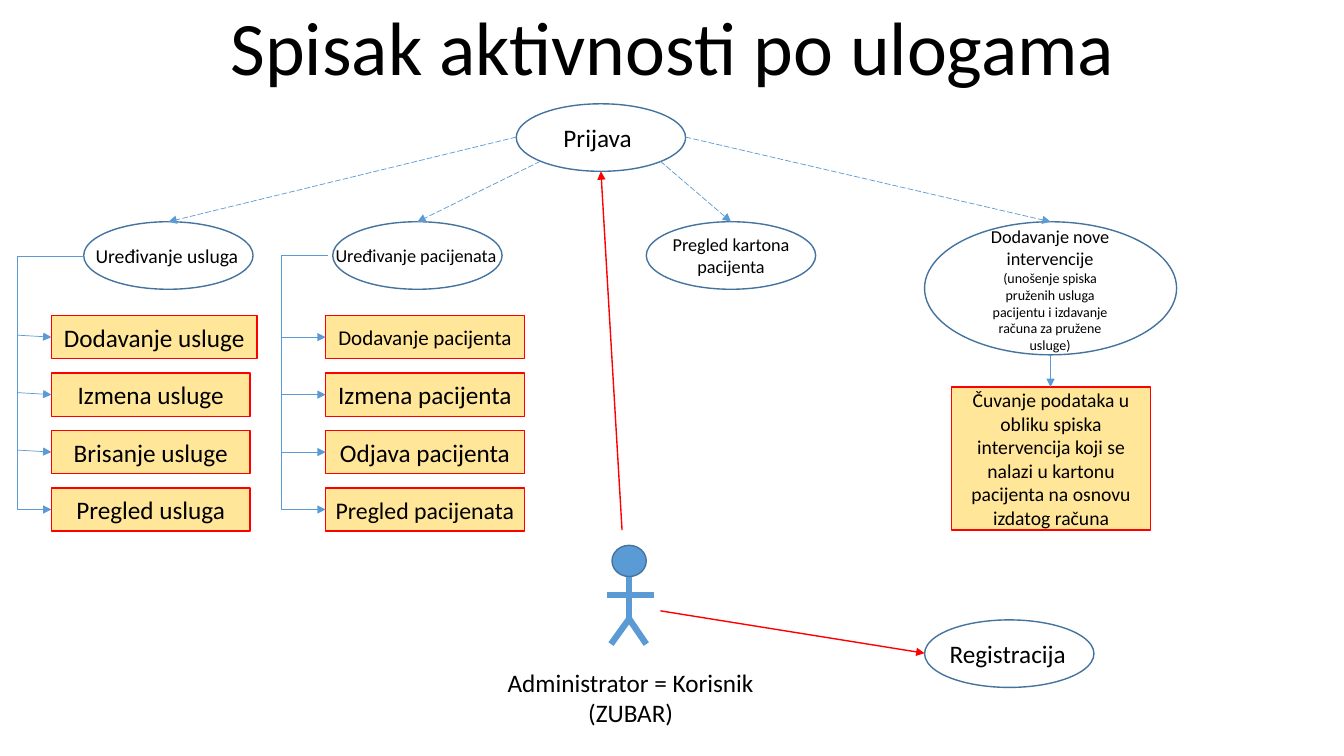
from lxml import etree
from pptx import Presentation
from pptx.dml.color import RGBColor
from pptx.enum import dml, shapes, text
from pptx.oxml import ns
from pptx.util import Inches, Pt

BLUE, OUTLINE, RED, YELLOW, BLACK = "5B9BD5", "43739E", "FF0000", "FFE699", "000000"
OVAL, RECT = shapes.MSO_SHAPE.OVAL, shapes.MSO_SHAPE.RECTANGLE
CENTER, LEFT = text.PP_ALIGN.CENTER, text.PP_ALIGN.LEFT


def color(value):
    return RGBColor.from_string(value)


class Diagram:
    """Holds the text style and the current slide."""

    def __init__(self, page, font="Calibri"):
        self.page = page
        self.font = font

    def fill_text(self, frame, paragraphs, size, align=CENTER):
        frame.text = "\n".join(paragraphs)
        for para in frame.paragraphs:
            para.alignment = align
            for span in para.runs:
                self.style(span, size)

    def style(self, span, size):
        span.font.name = self.font
        span.font.size = Pt(size)
        span.font.color.rgb = color(BLACK)

    def title(self, words, place, size):
        heading = self.page.shapes.title
        heading.left, heading.top, heading.width, heading.height = map(Inches, place)
        frame = heading.text_frame
        frame.auto_size = text.MSO_AUTO_SIZE.NONE
        frame.vertical_anchor = text.MSO_ANCHOR.BOTTOM
        self.fill_text(frame, [words], size)
        frame.paragraphs[0].line_spacing = 0.9

    def shape(self, kind, place, line, fill=None):
        figure = self.page.shapes.add_shape(kind, *map(Inches, place))
        figure.shadow.inherit = False
        figure.line.color.rgb = color(line)
        figure.line.width = Pt(1)
        if fill:
            figure.fill.solid()
            figure.fill.fore_color.rgb = color(fill)
        else:
            figure.fill.background()
        return figure

    def oval(self, place, fill=None):
        self.shape(OVAL, place, OUTLINE, fill)

    def activity(self, words, place, size=18):
        box = self.shape(RECT, place, RED, YELLOW)
        box.text_frame.word_wrap = True
        box.text_frame.vertical_anchor = text.MSO_ANCHOR.MIDDLE
        self.fill_text(box.text_frame, [words], size)

    def label(self, paragraphs, place, size, align=CENTER, wrap=True):
        box = self.page.shapes.add_textbox(*map(Inches, place))
        box.text_frame.word_wrap = wrap
        self.fill_text(box.text_frame, paragraphs, size, align)
        return box.text_frame

    def line(self, start, end, stroke=BLUE, width=0.5, arrow=True, dashed=False, spine=None):
        """Draw a straight line, or an elbow whose upright part lies at x = spine."""
        kinds = shapes.MSO_CONNECTOR
        kind = kinds.STRAIGHT if spine is None else kinds.ELBOW
        link = self.page.shapes.add_connector(kind, *map(Inches, start + end))
        link.line.color.rgb = color(stroke)
        link.line.width = Pt(width)
        if dashed:
            link.line.dash_style = dml.MSO_LINE.LONG_DASH
        properties = link._element.spPr
        if arrow:
            outline = properties.find(ns.qn("a:ln"))
            etree.SubElement(outline, ns.qn("a:tailEnd"), type="triangle")
        if spine is not None:
            bend = round(100000 * (start[0] - spine) / (start[0] - end[0]))
            guides = properties.find(".//" + ns.qn("a:avLst"))
            etree.SubElement(guides, ns.qn("a:gd"), name="adj1", fmla=f"val {bend}")
        etree.SubElement(properties, ns.qn("a:effectLst"))


def draw_activities(diagram):
    """Draw both columns of activities with the arrows that lead to them."""
    top, step, height, width = 3.13, 0.57, 0.43, 1.97
    columns = [
        (0.51, 0.17, (0.83, 2.54), 0.02,
         [("Dodavanje usluge", 18), ("Izmena usluge", 18),
          ("Brisanje usluge", 18), ("Pregled usluga", 18)]),
        (3.23, 2.79, (3.25, 2.53), 0,
         [("Dodavanje pacijenta", 15), ("Izmena pacijenta", 18),
          ("Odjava pacijenta", 18), ("Pregled pacijenata", 17)]),
    ]
    for left, spine, start, slope, activities in columns:
        for row, (words, size) in enumerate(activities):
            y = top + row * step
            box_width = 2.04 if words == "Dodavanje usluge" else width
            diagram.activity(words, (left, y, box_width, height), size)
            middle = y + height / 2
            if row < len(activities) - 1:
                diagram.line((spine, middle - slope), (left, middle))
            else:
                diagram.line(start, (left, middle), spine=spine)


def draw_administrator(diagram):
    diagram.oval((6.07, 5.41, 0.34, 0.31), BLUE)
    neck, hip = (6.24, 5.72), (6.24, 6.14)
    limbs = [(neck, hip), (hip, (6.06, 6.39)), (hip, (6.41, 6.39)), ((6.02, 5.9), (6.49, 5.9))]
    for start, end in limbs:
        diagram.line(start, end, width=4.5, arrow=False)
    diagram.line((6.17, 5.26), (5.96, 1.7), RED, 1)
    diagram.line((6.55, 6.06), (9.17, 6.48), RED, 1)
    diagram.label(["Administrator = Korisnik", "(ZUBAR)"], (4.92, 6.57, 2.67, 0.71), 18, wrap=False)


def main():
    deck = Presentation()
    deck.slide_width, deck.slide_height = Inches(13.33), Inches(7.5)
    diagram = Diagram(deck.slides.add_slide(deck.slide_layouts[5]))
    diagram.title("Spisak aktivnosti po ulogama", (1.67, 0, 10, 0.96), 54)

    for left, top in [(5.12, 1.03), (0.83, 2.2), (3.3, 2.2), (6.41, 2.2), (9.17, 6.15)]:
        diagram.oval((left, top, 1.68, 0.67))
    diagram.oval((9.17, 2.2, 2.5, 1.32))

    diagram.label(["Prijava"], (5.49, 1.16, 0.92, 0.4), 18, LEFT)
    diagram.label(["Uređivanje usluga"], (0.85, 2.37, 1.63, 0.34), 14, LEFT, False)
    diagram.label(["Uređivanje pacijenata"], (3.23, 2.37, 1.82, 0.32), 13, LEFT, False)
    diagram.label(["Pregled kartona pacijenta"], (6.53, 2.27, 1.44, 0.54), 13)
    diagram.label(["Registracija"], (9.32, 6.28, 1.37, 0.4), 18, LEFT, False)
    intervention = diagram.label(["Dodavanje nove intervencije "], (9.6, 2.19, 1.63, 1.38), 13)
    detail = intervention.paragraphs[0].add_run()
    detail.text = "(unošenje spiska pruženih usluga pacijentu i izdavanje računa za pružene usluge)"
    diagram.style(detail, 10)

    draw_activities(diagram)
    diagram.activity(
        "Čuvanje podataka u obliku spiska intervencija koji se nalazi u kartonu "
        "pacijenta na osnovu izdatog računa", (9.44, 3.84, 1.97, 1.42), 14)
    diagram.line((10.42, 3.52), (10.42, 3.84))

    branches = [((5.12, 1.36), 1.67), ((5.36, 1.6), 4.14), ((6.55, 1.6), 7.25), ((6.8, 1.36), 10.42)]
    for start, x in branches:
        diagram.line(start, (x, 2.2), dashed=True)
    draw_administrator(diagram)
    deck.save("out.pptx")


if __name__ == "__main__":
    main()
